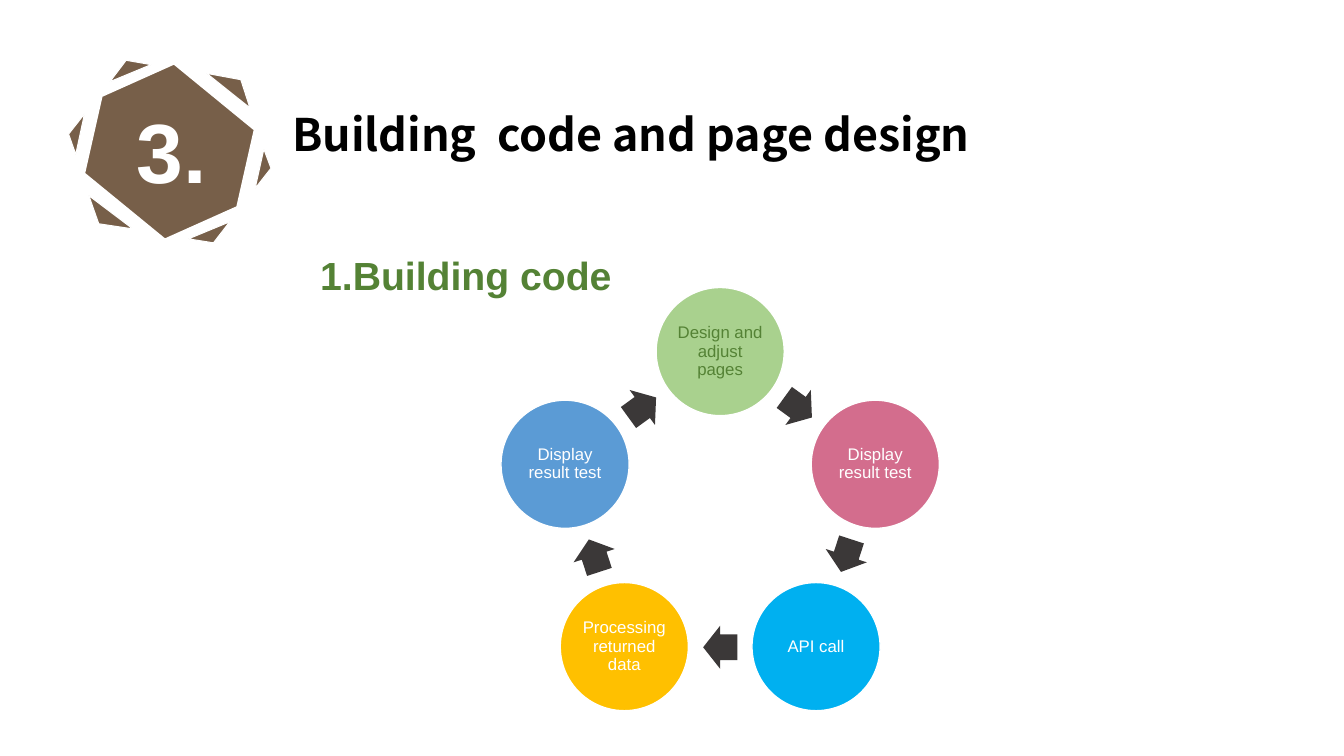
import math

from pptx import Presentation
from pptx import util as u
from pptx.dml.color import RGBColor
from pptx.enum import shapes, text

COLOURS = {
    "white": "FFFFFF", "black": "000000", "brown": "775F49", "dark green": "548235",
    "arrow": "3B3838", "green": "A9D18E", "pink": "D36D8D", "blue": "00B0F0",
    "yellow": "FFC000", "steel": "5B9BD5",
}


def paint(shape, fill, line_width=0):
    shape.shadow.inherit = False
    shape.fill.solid()
    shape.fill.fore_color.rgb = RGBColor.from_string(COLOURS[fill])
    if line_width:
        shape.line.color.rgb = RGBColor.from_string(COLOURS["white"])
        shape.line.width = u.Pt(line_width)
    else:
        shape.line.fill.background()


def write(box, words, size, colour, name="Arial", bold=False):
    para = box.text_frame.paragraphs[0]
    para.text = words
    para.font.name, para.font.size, para.font.bold = name, u.Pt(size), bold
    para.font.color.rgb = RGBColor.from_string(COLOURS[colour])
    return para


deck = Presentation()
deck.slide_width, deck.slide_height = u.Cm(33.87), u.Cm(19.05)
page = deck.slides.add_slide(deck.slide_layouts[6])

# Badge: small hexagon, ring of shards, large hexagon
shards = [
    [(2.24, 4.93), (3.35, 5.77), (2.49, 5.64)],
    [(2.13, 2.87), (1.91, 3.89), (1.73, 3.38)],
    [(5.79, 5.59), (5.38, 6.12), (4.75, 6.02)],
    [(3.81, 1.63), (2.77, 2.06), (3.18, 1.52)],
    [(6.65, 3.76), (6.83, 4.24), (6.43, 4.75)],
    [(6.07, 2.01), (6.3, 2.72), (5.21, 1.85)],
]
hexagons = [(2.62, 2.49, 3.3, 2.67, 9.3), (2.06, 2.03, 4.42, 3.58, 39.3)]
for index, (left, top, width, height, turn) in enumerate(hexagons):
    if index == 1:
        outline = page.shapes.build_freeform(u.Cm(shards[0][0][0]), u.Cm(shards[0][0][1]))
        for number, shard in enumerate(shards):
            corners = [(u.Cm(x), u.Cm(y)) for x, y in shard]
            if number:
                outline.move_to(*corners[0])
            outline.add_line_segments(corners[1:], close=True)
        paint(outline.convert_to_shape(), "brown", 0.75)
    hexagon = page.shapes.add_shape(shapes.MSO_SHAPE.HEXAGON, u.Cm(left), u.Cm(top),
                                    u.Cm(width), u.Cm(height))
    hexagon.rotation = turn
    paint(hexagon, "brown", 1.5)

# Title, badge number and subtitle
headings = [
    ("Building  code and page design", 7.11, 2.72, 18.59, 1.47, 32, "black", "Noto Sans CJK SC", True),
    ("3.", 3.2, 2.39, 2.54, 2.82, 60, "white", "Arial", True),
    ("1.Building code", 7.82, 6.22, 7.95, 3.05, 28, "dark green", "Arial", False),
]
for words, left, top, width, height, size, colour, name, wraps in headings:
    box = page.shapes.add_textbox(u.Cm(left), u.Cm(top), u.Cm(width), u.Cm(height))
    box.text_frame.word_wrap = wraps
    box.text_frame.auto_size = text.MSO_AUTO_SIZE.SHAPE_TO_FIT_TEXT
    para = write(box, words, size, colour, name, bold=True)
    if size == 32:
        para.line_spacing = 0.9

# Cycle: steps clockwise from the top, each followed by an arrow
steps = [
    ("Design and adjust pages", "green", "dark green"),
    ("Display result test", "pink", "white"),
    ("API call", "blue", "white"),
    ("Processing returned data", "yellow", "white"),
    ("Display result test", "steel", "white"),
]
centre_x, centre_y = 18.15, 12.97
step_radius, arrow_radius = 4.11, 3.34
diameter, arrow_width, arrow_height = 3.23, 0.86, 1.09
step_angle = 360 / len(steps)

for index, (words, fill, colour) in enumerate(steps):
    angle = math.radians(index * step_angle)
    circle = page.shapes.add_shape(
        shapes.MSO_SHAPE.OVAL,
        u.Cm(centre_x + step_radius * math.sin(angle) - diameter / 2),
        u.Cm(centre_y - step_radius * math.cos(angle) - diameter / 2),
        u.Cm(diameter), u.Cm(diameter))
    paint(circle, fill, 1)
    frame = circle.text_frame
    frame.word_wrap = True
    frame.vertical_anchor = text.MSO_ANCHOR.MIDDLE
    frame.margin_left = frame.margin_right = frame.margin_top = frame.margin_bottom = u.Cm(0.04)
    para = write(circle, words, 12, colour)
    para.alignment = text.PP_ALIGN.CENTER
    para.line_spacing = 0.9

    turn = (index + 0.5) * step_angle
    angle = math.radians(turn)
    arrow = page.shapes.add_shape(
        shapes.MSO_SHAPE.RIGHT_ARROW,
        u.Cm(centre_x + arrow_radius * math.sin(angle) - arrow_width / 2),
        u.Cm(centre_y - arrow_radius * math.cos(angle) - arrow_height / 2),
        u.Cm(arrow_width), u.Cm(arrow_height))
    arrow.adjustments[0] = 0.6
    arrow.rotation = turn
    paint(arrow, "arrow")

deck.save("out.pptx")
